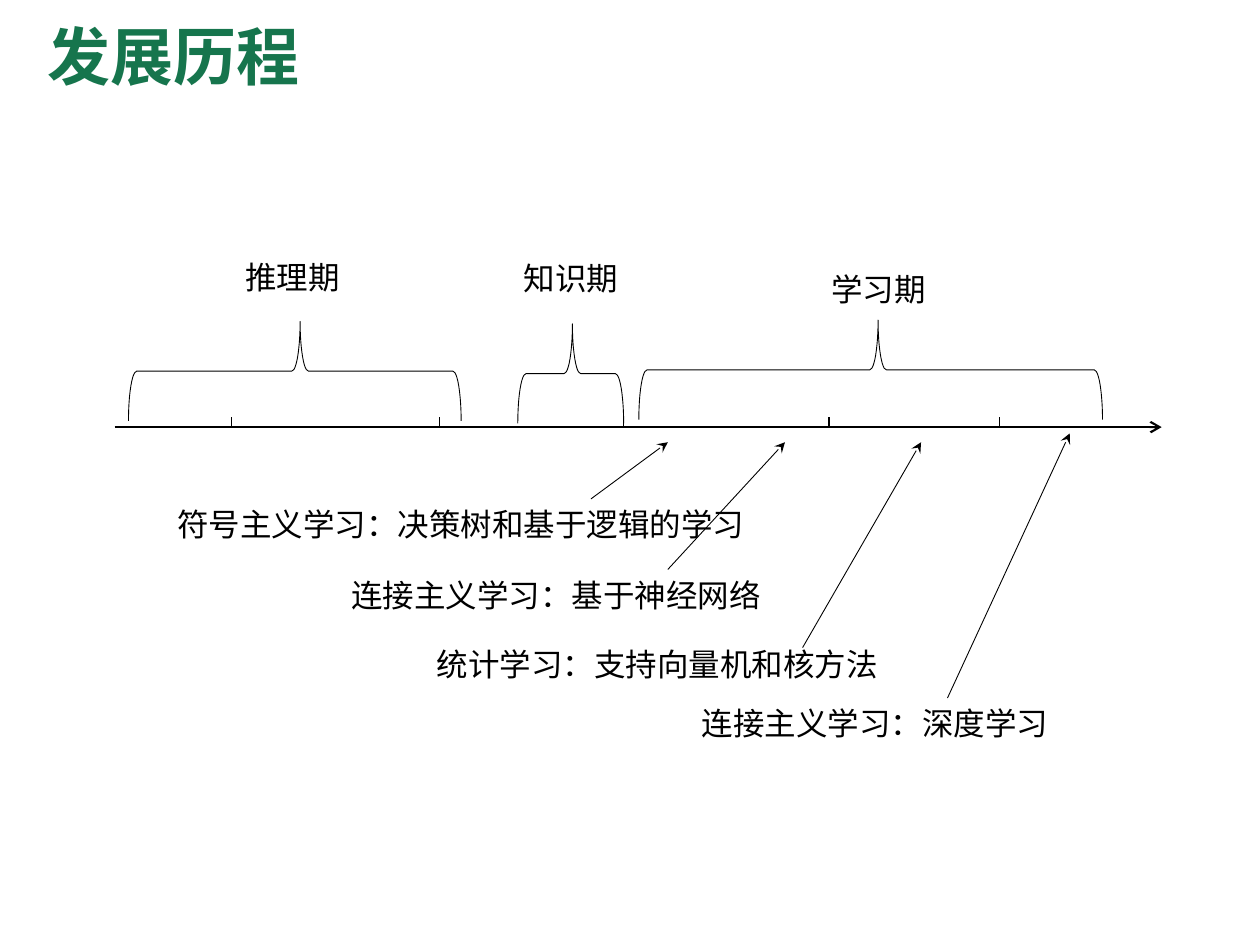
from dataclasses import dataclass

from lxml.etree import SubElement
from pptx import Presentation
from pptx.dml.color import RGBColor
from pptx.enum.shapes import MSO_CONNECTOR, MSO_SHAPE
from pptx.enum.text import MSO_ANCHOR, MSO_AUTO_SIZE, PP_ALIGN
from pptx.oxml.ns import qn
from pptx.util import Inches, Pt


@dataclass(frozen=True)
class Theme:
    font: str = "Times New Roman"
    title_color: RGBColor = RGBColor(0x16, 0x75, 0x4D)
    ink: RGBColor = RGBColor(0, 0, 0)
    title_size: int = 36
    label_size: int = 18
    axis_width: float = 1.25
    tick_width: float = 0.75
    thin_width: float = 0.5


@dataclass(frozen=True)
class Box:
    left: float
    top: float
    width: float
    height: float

    def point(self, x, y):
        return Inches(self.left + x), Inches(self.top + y)


THEME = Theme()
LABEL_HEIGHT = 0.4
TICK_HEIGHT = 0.08
BRACE_DEPTH = 0.79

TICKS = [0.93, 2.58, 4.04, 5.67, 7.02]
# name, label position, brace left, brace top, brace span
PERIODS = [
    ("推理期", (0.94, 0), 0.11, 0.55, 2.64),
    ("知识期", (3.15, 0.01), 3.2, 0.57, 0.84),
    ("学习期", (5.59, 0.09), 4.16, 0.54, 3.68),
]
# wording, label position, label width, arrow start, arrow end
METHODS = [
    ("符号主义学习：决策树和基于逻辑的学习", (0, 0.52), 6.44, (3.38, 0.52), (3.99, 0.07)),
    ("连接主义学习：基于神经网络", (1.38, 1.08), 4, (3.99, 1.08), (4.92, 0.07)),
    ("统计学习：支持向量机和核方法", (2.06, 1.63), 4.63, (5.06, 1.7), (6, 0.07)),
    ("连接主义学习：深度学习", (4.16, 2.1), 3.87, (6.21, 2.1), (7.18, 0)),
]


def style_text(paragraph, size, color, bold=False):
    for run in paragraph.runs:
        run.font.name = THEME.font
        run.font.size = Pt(size)
        run.font.bold = bold
        run.font.color.rgb = color


def add_label(slide, box, position, width, text, wrap=True):
    shape = slide.shapes.add_textbox(
        *box.point(*position), Inches(width), Inches(LABEL_HEIGHT))
    frame = shape.text_frame
    frame.word_wrap = wrap
    frame.auto_size = MSO_AUTO_SIZE.SHAPE_TO_FIT_TEXT
    frame.text = text
    style_text(frame.paragraphs[0], THEME.label_size, THEME.ink)


def add_line(slide, box, start, end, width, arrowhead=None):
    connector = slide.shapes.add_connector(
        MSO_CONNECTOR.STRAIGHT, *box.point(*start), *box.point(*end))
    connector.line.color.rgb = THEME.ink
    connector.line.width = Pt(width)
    properties = connector._element.spPr
    if arrowhead:
        SubElement(properties.find(qn("a:ln")), qn("a:tailEnd"), type=arrowhead)
    SubElement(properties, qn("a:effectLst"))


def add_brace(slide, box, left, top, span):
    # A right brace turned to point up: its box is centred on the drawn area
    shape = slide.shapes.add_shape(
        MSO_SHAPE.RIGHT_BRACE,
        *box.point(left + (span - BRACE_DEPTH) / 2, top + (BRACE_DEPTH - span) / 2),
        Inches(BRACE_DEPTH), Inches(span))
    shape.rotation = 270
    shape.adjustments[0] = 0.083
    shape.adjustments[1] = 0.516
    shape.shadow.inherit = False
    shape.fill.background()
    shape.line.color.rgb = THEME.ink
    shape.line.width = Pt(THEME.thin_width)


def build_title(slide, box):
    title = slide.shapes.title
    title.left, title.top = box.point(0, 0)
    title.width, title.height = Inches(box.width), Inches(box.height)
    frame = title.text_frame
    frame.text = "发展历程"
    frame.vertical_anchor = MSO_ANCHOR.MIDDLE
    paragraph = frame.paragraphs[0]
    paragraph.alignment = PP_ALIGN.LEFT
    paragraph.line_spacing = 0.9
    style_text(paragraph, THEME.title_size, THEME.title_color, bold=True)


def build_timeline(slide, box):
    # Axis along the bottom of the box, with ticks standing on it
    axis = box.height
    add_line(slide, box, (0, axis), (box.width, axis), THEME.axis_width, "arrow")
    for x in TICKS:
        add_line(slide, box, (x, axis - TICK_HEIGHT), (x, axis), THEME.tick_width)

    # Periods
    for name, position, left, top, span in PERIODS:
        add_brace(slide, box, left, top, span)
        add_label(slide, box, position, 0.96, name, wrap=False)


def build_methods(slide, box):
    # Learning methods, each pointing at its time on the axis
    for text, position, width, start, end in METHODS:
        add_line(slide, box, start, end, THEME.thin_width, "stealth")
        add_label(slide, box, position, width, text)


def main():
    presentation = Presentation()
    presentation.slide_width = Inches(10)
    presentation.slide_height = Inches(7.5)
    slide = presentation.slides.add_slide(
        presentation.slide_layouts.get_by_name("Title Only"))
    build_title(slide, Box(0.28, 0.05, 8.62, 0.85))
    build_timeline(slide, Box(0.91, 2, 8.31, 1.39))
    build_methods(slide, Box(1.31, 3.44, 8.03, 2.5))
    presentation.save("out.pptx")


if __name__ == "__main__":
    main()
